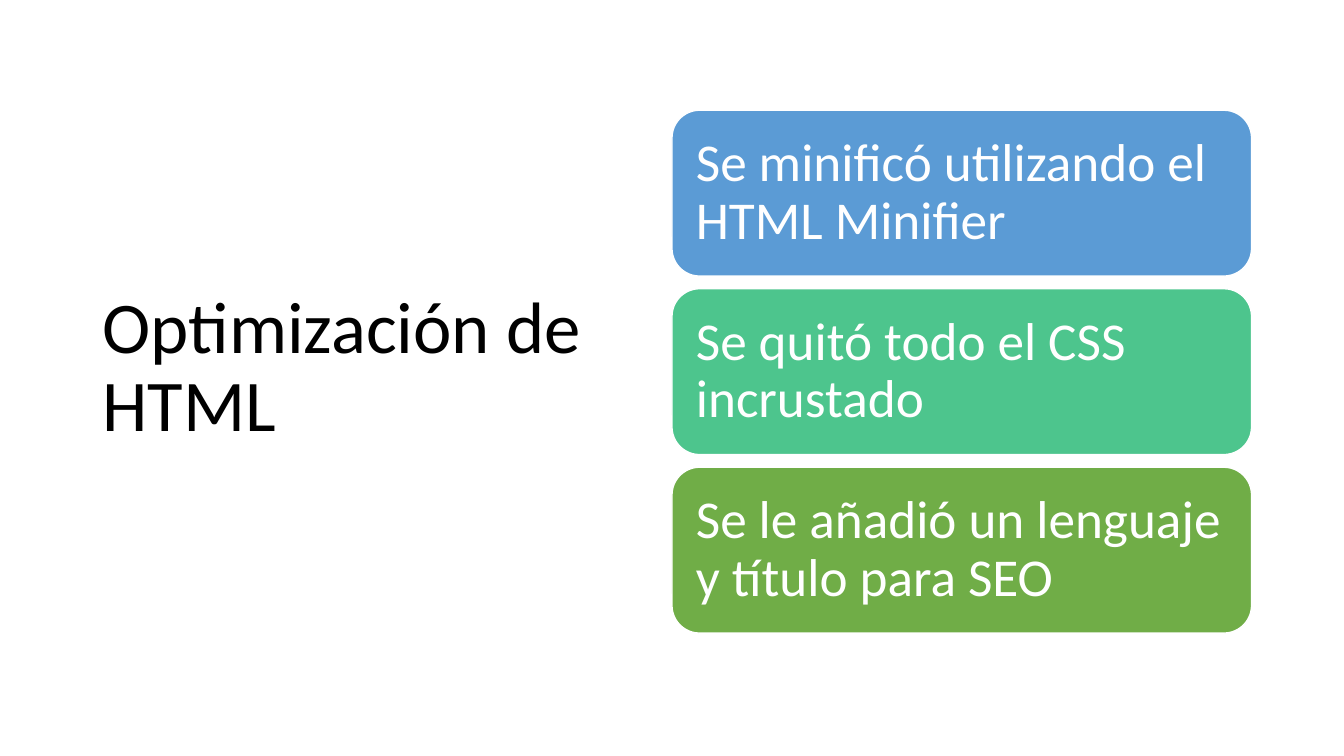
from pptx import Presentation
from pptx.dml.color import RGBColor
from pptx.enum.shapes import MSO_SHAPE as SHAPE
from pptx.enum.text import MSO_ANCHOR as ANCHOR, MSO_AUTO_SIZE as AUTO_SIZE, PP_ALIGN as ALIGN
from pptx.util import Pt

PX = 9525
FONT = "Calibri"
COLOURS = {
    "black": "000000",
    "white": "FFFFFF",
    "blue": "5B9BD5",
    "teal": "4DC58D",
    "green": "70AD47",
}
MEASURES = [
    ("Se minificó utilizando el HTML Minifier", "blue"),
    ("Se quitó todo el CSS incrustado", "teal"),
    ("Se le añadió un lenguaje y título para SEO", "green"),
]


def colour(name):
    """Return the named colour."""
    return RGBColor.from_string(COLOURS[name])


def write(frame, text, size, ink):
    """Write one left-aligned, vertically centred paragraph and return it."""
    frame.text = text
    frame.word_wrap = True
    frame.auto_size = AUTO_SIZE.NONE
    frame.vertical_anchor = ANCHOR.MIDDLE
    paragraph = frame.paragraphs[0]
    paragraph.alignment = ALIGN.LEFT
    paragraph.line_spacing = 0.9
    paragraph.font.name = FONT
    paragraph.font.size = Pt(size)
    paragraph.font.color.rgb = colour(ink)
    return paragraph


def place_heading(slide, left, top, width, height):
    """Place the slide title in the given box."""
    heading = slide.shapes.title
    heading.left, heading.top = left * PX, top * PX
    heading.width, heading.height = width * PX, height * PX
    write(heading.text_frame, "Optimización de HTML", 52, "black")


def add_card(slide, text, fill, left, top, width, height):
    """Draw one rounded card with its text."""
    card = slide.shapes.add_shape(
        SHAPE.ROUNDED_RECTANGLE, left * PX, top * PX, width * PX, height * PX)
    card.shadow.inherit = False
    card.fill.solid()
    card.fill.fore_color.rgb = colour(fill)
    card.line.color.rgb = colour("white")
    card.line.width = Pt(1)
    frame = card.text_frame
    frame.margin_left = frame.margin_right = 15 * PX
    frame.margin_top = frame.margin_bottom = 15 * PX
    write(frame, text, 38, "white").space_after = Pt(13)


def add_measures(slide, left, top, width, height, gap=12):
    """Stack the cards evenly in the given box."""
    card_height = (height - gap * (len(MEASURES) - 1)) // len(MEASURES)
    for row, (text, fill) in enumerate(MEASURES):
        card_top = top + row * (card_height + gap)
        add_card(slide, text, fill, left, card_top, width, card_height)


def main():
    """Build and save the slide."""
    deck = Presentation()
    deck.slide_width, deck.slide_height = 1280 * PX, 720 * PX
    slide = deck.slides.add_slide(deck.slide_layouts.get_by_name("Title Only"))
    place_heading(slide, 88, 59, 511, 585)
    add_measures(slide, 640, 105, 552, 498)
    deck.save("out.pptx")


if __name__ == "__main__":
    main()
